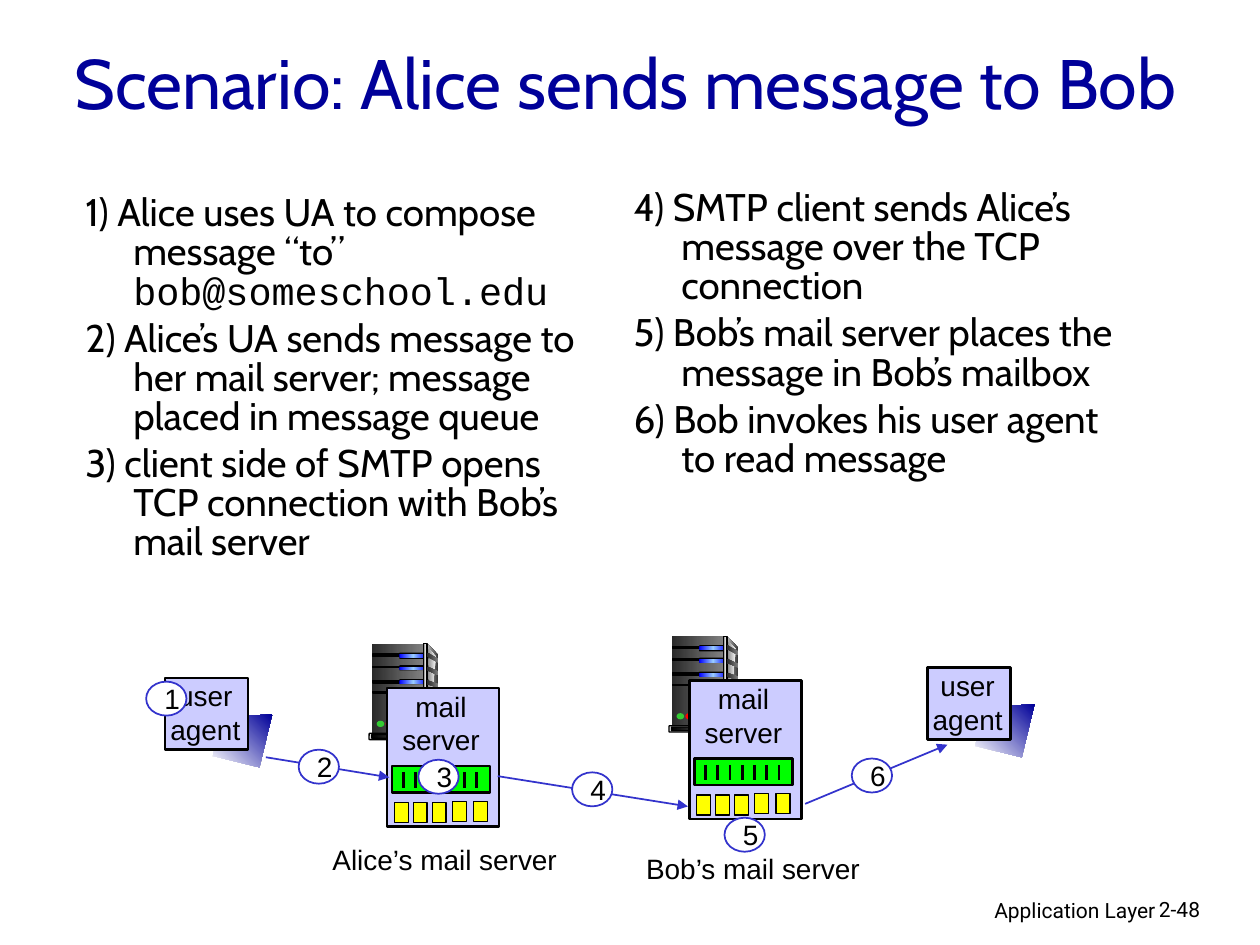
from copy import deepcopy

from lxml import etree
from pptx import Presentation
from pptx.dml.color import RGBColor
from pptx.enum.shapes import MSO_CONNECTOR as Connector, MSO_SHAPE as Shape
from pptx.enum.text import MSO_ANCHOR as Anchor, MSO_AUTO_SIZE as AutoSize, PP_ALIGN as Align
from pptx.oxml.ns import qn
from pptx.util import Pt

PX = 9144  # EMU; 100 px to the inch

BLACK = RGBColor(0x00, 0x00, 0x00)
WHITE = RGBColor(0xFF, 0xFF, 0xFF)
NAVY = RGBColor(0x00, 0x00, 0x99)
LAVENDER = RGBColor(0xCC, 0xCC, 0xFF)
INDIGO = RGBColor(0x33, 0x33, 0xCC)
BLUE = RGBColor(0x00, 0x00, 0xFF)
SKY = RGBColor(0x99, 0xCC, 0xFF)
QUEUE_GREEN = RGBColor(0x00, 0xFF, 0x00)
LAMP_GREEN = RGBColor(0x33, 0xCC, 0x33)
RED = RGBColor(0xFF, 0x00, 0x00)
YELLOW = RGBColor(0xFF, 0xFF, 0x00)
PALE = RGBColor(0xF8, 0xF8, 0xF8)
SILVER = RGBColor(0xDD, 0xDD, 0xDD)
GRAY = RGBColor(0x80, 0x80, 0x80)
CHARCOAL = RGBColor(0x33, 0x33, 0x33)
COAL = RGBColor(0x29, 0x29, 0x29)

# Gradients: angle, then evenly spaced colours
SCREEN_FADE = (45, [WHITE, NAVY])
METAL = (180, [GRAY, COAL])
SIDE = (180, [CHARCOAL, SILVER])
EDGE = (180, [CHARCOAL, SILVER, CHARCOAL])
BEVEL = (180, [PALE, GRAY])
FOOT = (180, [GRAY, BLACK])
GLOW = (180, [BLUE, SKY, BLUE])

TITLE = "Scenario: Alice sends message to Bob"
STEP_COLUMNS = [
    ((58, 150, 417, 352), [
        [("1) Alice uses UA to compose message “to” ", "Cabin"),
         ("bob@someschool.edu", "Courier New")],
        [("2) Alice’s UA sends message to her mail server; message placed in message queue", "Cabin")],
        [("3) client side of SMTP opens TCP connection with Bob’s mail server", "Cabin")],
    ]),
    ((493, 146, 417, 357), [
        [("4) SMTP client sends Alice’s message over the TCP connection", "Cabin")],
        [("5) Bob’s mail server places the message in Bob’s mailbox", "Cabin")],
        [("6) Bob invokes his user agent to read message", "Cabin")],
    ]),
]
ALICE_AGENT, BOB_AGENT = (131, 538), (736, 530)
TOWERS = [(533, 505), (295, 511)]
MAIL_SERVERS = [(307, 546), (547, 540)]
ARROWS = [(211, 601, 309, 617), (395, 616, 546, 640), (639, 638, 752, 591)]
STEP_MARKS = [(116, 541), (237, 595), (332, 603), (454, 613), (575, 649), (676, 602)]
LABELS = [("Alice’s mail server", (254, 664, 199, 37)),
          ("Bob’s mail server", (503, 671, 190, 37))]
FOOTER = [("Application Layer", (610, 707, 317, 31), Align.RIGHT),
          ("2-48", (910, 707, 74, 30), Align.LEFT)]

TICK_COUNT, TICK_START, TICK_STEP = 7, 13, 9.7
ENVELOPES = [(6, 91), (21, 91), (36, 91), (52, 90), (69, 90)]


def emu(lengths):
    return [round(length * PX) for length in lengths]


def paint(shape, fill, line=None, width=0.75):
    shape.shadow.inherit = False
    if isinstance(fill, RGBColor):
        shape.fill.solid()
        shape.fill.fore_color.rgb = fill
    else:
        angle, colors = fill
        shape.fill.gradient()
        shape.fill.gradient_angle = angle
        if len(colors) == 3:
            first = shape._element.spPr.find(".//" + qn("a:gs"))
            middle = deepcopy(first)
            middle.set("pos", "50000")
            first.addnext(middle)
        for stop, color in zip(shape.fill.gradient_stops, colors):
            stop.color.rgb = color
    if line is None:
        shape.line.fill.background()
    else:
        shape.line.color.rgb = line
        shape.line.width = Pt(width)


def add_preset(shapes, kind, origin, box, *style):
    """Add a shape whose box is measured from origin."""
    x, y, w, h = box
    shape = shapes.add_shape(kind, *emu((origin[0] + x, origin[1] + y, w, h)))
    if kind == Shape.ROUNDED_RECTANGLE:
        shape.adjustments[0] = 0.108
    paint(shape, *style)
    return shape


def add_outline(shapes, origin, points, fill):
    moved = [(origin[0] + x, origin[1] + y) for x, y in points]
    builder = shapes.build_freeform(*moved[0], scale=float(PX))
    builder.add_line_segments(moved[1:], close=True)
    paint(builder.convert_to_shape(), fill)


def add_line(shapes, ends, color, width, arrow=False):
    connector = shapes.add_connector(Connector.STRAIGHT, *emu(ends))
    connector.line.color.rgb = color
    connector.line.width = Pt(width)
    if arrow:
        line = connector.line._get_or_add_ln()
        etree.SubElement(line, qn("a:tailEnd"), type="triangle")
    etree.SubElement(connector._element.spPr, qn("a:effectLst"))


def style_font(font, size, name, color=BLACK):
    font.size, font.name = Pt(size), name
    font.color.rgb = color


def add_text(shapes, box, text, size=16, name="Arial", align=Align.LEFT, grow=True):
    frame = shapes.add_textbox(*emu(box)).text_frame
    frame.word_wrap = not grow
    frame.auto_size = AutoSize.SHAPE_TO_FIT_TEXT if grow else AutoSize.NONE
    frame.text = text
    for paragraph in frame.paragraphs:
        paragraph.alignment = align
        style_font(paragraph.runs[0].font, size, name)


def add_steps(slide, box, steps):
    frame = slide.shapes.add_textbox(*emu(box)).text_frame
    frame.word_wrap = True
    for index, step in enumerate(steps):
        paragraph = frame.add_paragraph() if index else frame.paragraphs[0]
        properties = paragraph._p.get_or_add_pPr()
        properties.set("marL", str(38 * PX))
        properties.set("indent", str(-38 * PX))
        paragraph.line_spacing = 0.85
        if index:
            paragraph.space_before = Pt(4.4)
        for text, name in step:
            run = paragraph.add_run()
            run.text = text
            style_font(run.font, 22, name)


def add_user_agent(slide, origin):
    shapes = slide.shapes.add_group_shape().shapes
    add_outline(shapes, origin, [(85, 29), (45, 31), (38, 62), (75, 71)], SCREEN_FADE)
    add_preset(shapes, Shape.RECTANGLE, origin, (0, 0, 66, 57), LAVENDER, BLACK, 1.5)
    add_text(shapes, (origin[0] - 6, origin[1] - 4, 76, 64), "user\nagent", align=Align.CENTER)


def add_tower(slide, origin):
    shapes = slide.shapes.add_group_shape().shapes
    add_outline(shapes, origin, [(44, 0), (53, 9), (53, 69), (42, 72)], SIDE)
    add_preset(shapes, Shape.RECTANGLE, origin, (0, 0, 41, 72), METAL)
    add_outline(shapes, origin, [(44, 4), (47, 6), (51, 10), (48, 40), (44, 70)], BEVEL)
    for y, h in [(8, 2), (18, 1), (29, 2), (38, 1)]:
        add_preset(shapes, Shape.RECTANGLE, origin, (1, y, 23, h), BLACK, BLACK)
    for y, h in [(7, 5), (17, 4), (28, 4)]:
        add_preset(shapes, Shape.ROUNDED_RECTANGLE, origin, (22, y, 23, h), BLACK)
        add_preset(shapes, Shape.ROUNDED_RECTANGLE, origin, (22, y + 1, 22, 3), GLOW)
    add_preset(shapes, Shape.RECTANGLE, origin, (41, 0, 3, 72), EDGE, BLACK)
    for top, drop in [(7, 5), (18, 4), (29, 3)]:
        vent = [(44, top), (53, top + drop), (53, top + drop + 3), (44, top + 3)]
        add_outline(shapes, origin, vent, METAL)
    add_preset(shapes, Shape.ROUNDED_RECTANGLE, origin, (-2, 71, 47, 5), SILVER, BLACK)
    add_preset(shapes, Shape.ROUNDED_RECTANGLE, origin, (0, 72, 42, 3), FOOT, BLACK)
    for x, lamp in [(4, LAMP_GREEN), (11, RED)]:
        add_preset(shapes, Shape.OVAL, origin, (x, 61, 6, 5), lamp)


def add_mail_server(slide, origin):
    x, y = origin
    shapes = slide.shapes.add_group_shape().shapes
    add_preset(shapes, Shape.RECTANGLE, origin, (0, 0, 89, 110), LAVENDER, BLACK, 1.5)
    add_text(shapes, (x + 2, y - 4, 82, 64), "mail\nserver", align=Align.CENTER)
    add_preset(shapes, Shape.RECTANGLE, origin, (4, 62, 78, 21), QUEUE_GREEN, BLACK, 1.5)
    for index in range(TICK_COUNT):
        tick = x + TICK_START + index * TICK_STEP
        add_line(shapes, (tick, y + 67, tick, y + 79), BLACK, 1.5)
    for left, top in ENVELOPES:
        add_preset(shapes, Shape.RECTANGLE, origin, (left, top, 11, 16), YELLOW, BLACK)


def main():
    presentation = Presentation()
    presentation.slide_width, presentation.slide_height = emu((1000, 750))
    slide = presentation.slides.add_slide(presentation.slide_layouts[5])

    title = slide.shapes.title
    title.left, title.top, title.width, title.height = emu((49, 2, 901, 125))
    frame = title.text_frame
    frame.text = TITLE
    frame.auto_size = AutoSize.NONE
    frame.vertical_anchor = Anchor.MIDDLE
    frame.paragraphs[0].alignment = Align.LEFT
    style_font(frame.paragraphs[0].runs[0].font, 40, "Cabin", NAVY)

    for text, box, align in FOOTER:
        add_text(slide.shapes, box, text, 12, "Roboto", align, grow=False)
    add_user_agent(slide, ALICE_AGENT)
    for origin in TOWERS:
        add_tower(slide, origin)
    for box, steps in STEP_COLUMNS:
        add_steps(slide, box, steps)
    for origin in MAIL_SERVERS:
        add_mail_server(slide, origin)
    for ends in ARROWS:
        add_line(slide.shapes, ends, INDIGO, 1, arrow=True)
    for number, origin in enumerate(STEP_MARKS, 1):
        mark = add_preset(slide.shapes, Shape.OVAL, origin, (0, 0, 32, 27), WHITE, INDIGO, 1)
        mark.text_frame.text = str(number)
        style_font(mark.text_frame.paragraphs[0].runs[0].font, 16, "Arial")
    for text, box in LABELS:
        add_text(slide.shapes, box, text)
    add_user_agent(slide, BOB_AGENT)
    presentation.save("out.pptx")


if __name__ == "__main__":
    main()
